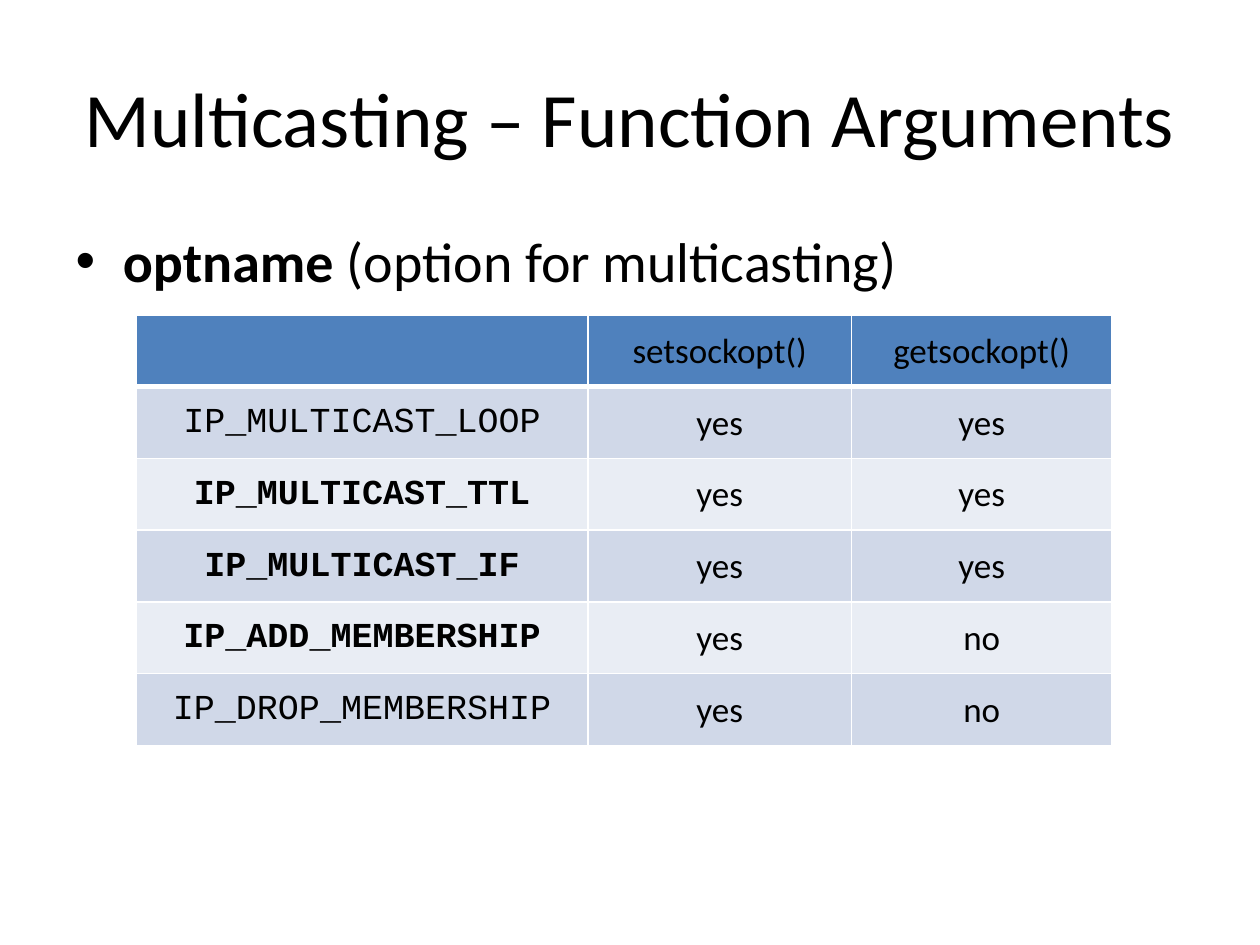
from pptx import Presentation
from pptx import util as u
from pptx.dml.color import RGBColor
from pptx.enum import text
from pptx.oxml import parse_xml
from pptx.oxml.ns import nsdecls

BLACK = RGBColor(0x00, 0x00, 0x00)
WHITE = RGBColor(0xFF, 0xFF, 0xFF)
HEADER_BLUE = RGBColor(0x4F, 0x81, 0xBD)
BANDS = (RGBColor(0xD0, 0xD8, 0xE8), RGBColor(0xE9, 0xED, 0xF4))

BODY_FONT = "Calibri"
CODE_FONT = "Courier New"

HEADINGS = ("", "setsockopt()", "getsockopt()")
# Option name, shown in bold, can be set, can be read
OPTIONS = (
    ("IP_MULTICAST_LOOP", False, "yes", "yes"),
    ("IP_MULTICAST_TTL", True, "yes", "yes"),
    ("IP_MULTICAST_IF", True, "yes", "yes"),
    ("IP_ADD_MEMBERSHIP", True, "yes", "no"),
    ("IP_DROP_MEMBERSHIP", False, "yes", "no"),
)
COLUMN_WIDTHS = (258, 150.5, 149)
ROW_HEIGHT = 41


def place(part, left, top, width, height):
    part.left, part.top = u.Pt(left), u.Pt(top)
    part.width, part.height = u.Pt(width), u.Pt(height)


def add_run(paragraph, wording, size, font=BODY_FONT, bold=False):
    run = paragraph.add_run()
    run.text = wording
    run.font.name = font
    run.font.size = u.Pt(size)
    run.font.bold = bold
    run.font.color.rgb = BLACK


def set_borders(cell, top, bottom):
    properties = cell._tc.get_or_add_tcPr()
    for side, points in (("L", 1), ("R", 1), ("T", top), ("B", bottom)):
        properties.append(parse_xml(
            f'<a:ln{side} {nsdecls("a")} w="{u.Pt(points)}"><a:solidFill>'
            f'<a:srgbClr val="{WHITE}"/></a:solidFill></a:ln{side}>'))


def fill_cell(cell, wording, color, top=1, bottom=1, font=BODY_FONT, bold=False):
    set_borders(cell, top, bottom)
    cell.fill.solid()
    cell.fill.fore_color.rgb = color
    cell.vertical_anchor = text.MSO_ANCHOR.MIDDLE
    cell.margin_left = cell.margin_right = cell.margin_top = u.Pt(0.75)
    cell.margin_bottom = 0
    paragraph = cell.text_frame.paragraphs[0]
    paragraph.alignment = text.PP_ALIGN.CENTER
    if wording:
        add_run(paragraph, wording, 20, font, bold)


def add_title(slide):
    title = slide.shapes.title
    place(title, 36, 21.6, 648, 90)
    title.text_frame.vertical_anchor = text.MSO_ANCHOR.MIDDLE
    paragraph = title.text_frame.paragraphs[0]
    paragraph.alignment = text.PP_ALIGN.CENTER
    add_run(paragraph, "Multicasting – Function Arguments", 44)


def add_argument(slide):
    argument = slide.placeholders[1]
    place(argument, 36, 126, 648, 356.4)
    paragraph = argument.text_frame.paragraphs[0]
    add_run(paragraph, "optname", 32, bold=True)
    add_run(paragraph, " (option for multicasting)", 32)


def add_options_table(slide):
    row_count = len(OPTIONS) + 1
    options = slide.shapes.add_table(
        row_count, len(HEADINGS), u.Pt(78), u.Pt(180),
        u.Pt(sum(COLUMN_WIDTHS)), u.Pt(ROW_HEIGHT * row_count)).table
    for column, width in zip(options.columns, COLUMN_WIDTHS):
        column.width = u.Pt(width)
    for row in options.rows:
        row.height = u.Pt(ROW_HEIGHT)

    # Header row, with a heavier rule below it
    for column, heading in enumerate(HEADINGS):
        fill_cell(options.cell(0, column), heading, HEADER_BLUE, bottom=3)

    # One banded row per option
    for row, (name, bold, *answers) in enumerate(OPTIONS, start=1):
        color = BANDS[(row - 1) % 2]
        top = 3 if row == 1 else 1
        fill_cell(options.cell(row, 0), name, color, top, font=CODE_FONT, bold=bold)
        for column, answer in enumerate(answers, start=1):
            fill_cell(options.cell(row, column), answer, color, top)


def main():
    deck = Presentation()
    deck.slide_width, deck.slide_height = u.Pt(720), u.Pt(540)
    slide = deck.slides.add_slide(deck.slide_layouts[1])
    add_title(slide)
    add_argument(slide)
    add_options_table(slide)
    deck.save("out.pptx")


if __name__ == "__main__":
    main()
